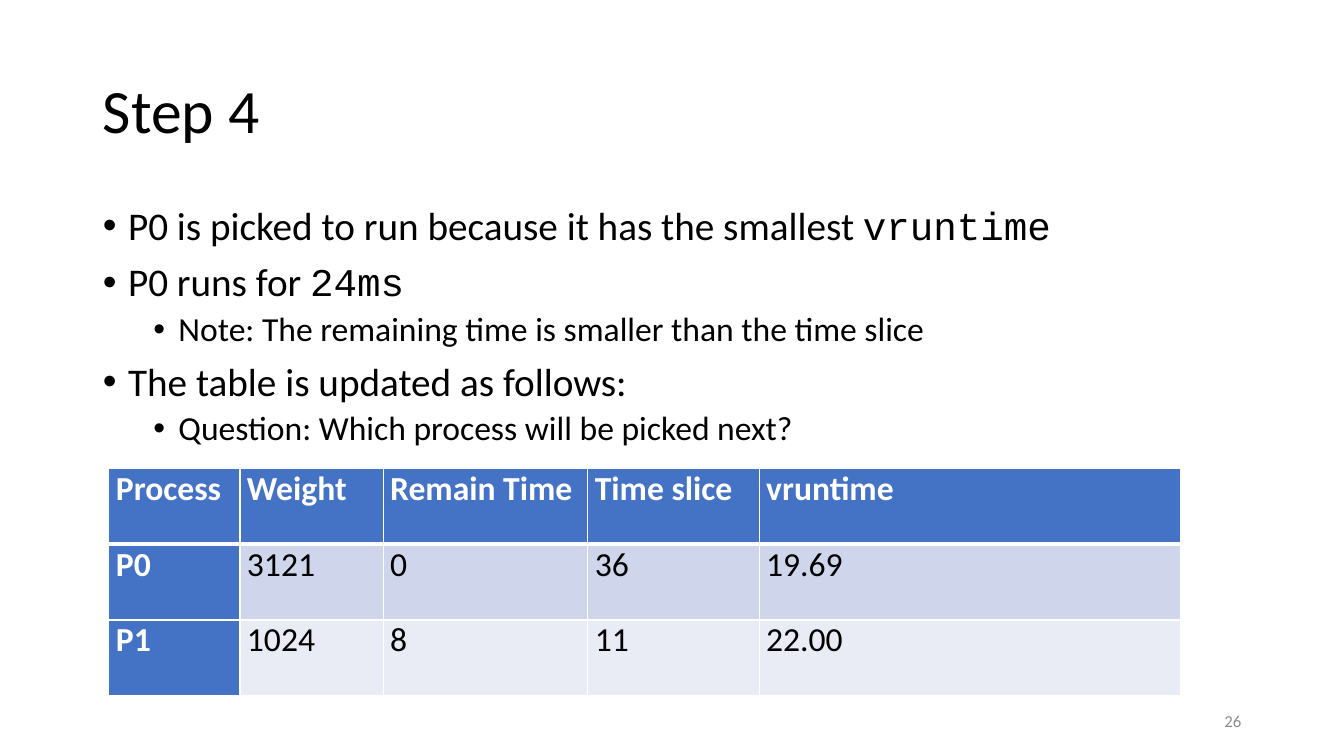
"""Build the "Step 4" scheduling slide with its list and process table."""
from lxml.etree import SubElement
from pptx import Presentation
from pptx.dml.color import RGBColor
from pptx.enum.text import MSO_ANCHOR, MSO_AUTO_SIZE, PP_ALIGN
from pptx.oxml.ns import qn
from pptx.util import Inches, Pt

WIDTH, HEIGHT = 13.33, 7.5
MARGIN = 0.92
CONTENT_WIDTH = WIDTH - 2 * MARGIN
SANS, MONO = "Calibri", "Courier New"
BLACK, WHITE, GRAY, BLUE = "000000", "FFFFFF", "8C8C8C", "4472C4"
BANDS = ["CFD5EA", "E9EBF5"]

TITLE = "Step 4"
SLIDE_NUMBER = "26"
BULLETS = [
    (0, [("P0 is picked to run because it has the smallest ", SANS), ("vruntime", MONO)]),
    (0, [("P0 runs for ", SANS), ("24ms", MONO)]),
    (1, [("Note: The remaining time is smaller than the time slice", SANS)]),
    (0, [("The table is updated as follows:", SANS)]),
    (1, [("Question: Which process will be picked next?", SANS)]),
]
LEVELS = [
    {"size": 28, "before": 10, "indent": 0.25},
    {"size": 24, "before": 5, "indent": 0.75},
]
PROCESSES = [
    ["Process", "Weight", "Remain Time", "Time slice", "vruntime"],
    ["P0", "3121", "0", "36", "19.69"],
    ["P1", "1024", "8", "11", "22.00"],
]
COLUMN_WIDTHS = [1.3, 1.42, 2.03, 1.7, 4.18]
ROW_HEIGHT = 0.75


def color(value):
    return RGBColor.from_string(value)


def place(shape, left, top, width, height):
    shape.left, shape.top = Inches(left), Inches(top)
    shape.width, shape.height = Inches(width), Inches(height)


def add_run(paragraph, text, size, font=SANS, fill=BLACK, bold=False):
    run = paragraph.add_run()
    run.text = text
    run.font.name = font
    run.font.size = Pt(size)
    run.font.bold = bold
    run.font.color.rgb = color(fill)


def add_bullet(paragraph, level, indent):
    paragraph.level = level
    properties = paragraph._p.get_or_add_pPr()
    properties.set("marL", str(Inches(indent)))
    properties.set("indent", str(Inches(-0.25)))
    SubElement(properties, qn("a:buFont"), typeface="Arial")
    SubElement(properties, qn("a:buChar"), char="•")


def add_borders(cell, widths):
    properties = cell._tc.get_or_add_tcPr()
    for side, width in widths.items():
        line = SubElement(properties, qn(f"a:ln{side}"), w=str(Pt(width)))
        SubElement(SubElement(line, qn("a:solidFill")), qn("a:srgbClr"), val=WHITE)


def fill_title(title):
    place(title, MARGIN, 0.4, CONTENT_WIDTH, 1.45)
    title.text_frame.vertical_anchor = MSO_ANCHOR.MIDDLE
    title.text_frame.auto_size = MSO_AUTO_SIZE.NONE
    paragraph = title.text_frame.paragraphs[0]
    paragraph.alignment = PP_ALIGN.LEFT
    paragraph.line_spacing = 0.9
    add_run(paragraph, TITLE, 44)


def fill_body(body):
    place(body, MARGIN, 2, CONTENT_WIDTH, 4.76)
    frame = body.text_frame
    frame.auto_size = MSO_AUTO_SIZE.NONE
    for index, (level, runs) in enumerate(BULLETS):
        paragraph = frame.add_paragraph() if index else frame.paragraphs[0]
        style = LEVELS[level]
        paragraph.line_spacing = 0.9
        paragraph.space_before = Pt(style["before"])
        add_bullet(paragraph, level, style["indent"])
        for text, font in runs:
            add_run(paragraph, text, style["size"], font)


def add_process_table(slide):
    rows, columns = len(PROCESSES), len(COLUMN_WIDTHS)
    frame = slide.shapes.add_table(
        rows, columns, Inches(1.08), Inches(4.65),
        Inches(sum(COLUMN_WIDTHS)), Inches(rows * ROW_HEIGHT))
    table = frame.table
    table.first_col = True
    for column, width in zip(table.columns, COLUMN_WIDTHS):
        column.width = Inches(width)
    for row_index, values in enumerate(PROCESSES):
        table.rows[row_index].height = Inches(ROW_HEIGHT)
        for column_index, value in enumerate(values):
            cell = table.cell(row_index, column_index)
            heading = row_index == 0 or column_index == 0
            cell.margin_left = cell.margin_right = Inches(0.07)
            cell.margin_top = cell.margin_bottom = 0
            top = 3 if row_index == 1 else 1
            bottom = 3 if row_index == 0 else 1
            add_borders(cell, {"L": 1, "R": 1, "T": top, "B": bottom})
            cell.fill.solid()
            cell.fill.fore_color.rgb = color(BLUE if heading else BANDS[row_index - 1])
            add_run(cell.text_frame.paragraphs[0], value, 24,
                    fill=WHITE if heading else BLACK, bold=heading)


def add_slide_number(slide):
    box = slide.shapes.add_textbox(
        Inches(WIDTH - MARGIN - 3), Inches(6.95), Inches(3), Inches(0.4))
    box.text_frame.word_wrap = True
    box.text_frame.vertical_anchor = MSO_ANCHOR.MIDDLE
    paragraph = box.text_frame.paragraphs[0]
    paragraph.alignment = PP_ALIGN.RIGHT
    add_run(paragraph, SLIDE_NUMBER, 12, fill=GRAY)


def main():
    presentation = Presentation()
    presentation.slide_width, presentation.slide_height = Inches(WIDTH), Inches(HEIGHT)
    slide = presentation.slides.add_slide(presentation.slide_layouts[1])
    fill_title(slide.shapes.title)
    fill_body(slide.placeholders[1])
    add_slide_number(slide)
    add_process_table(slide)
    presentation.save("out.pptx")


if __name__ == "__main__":
    main()
